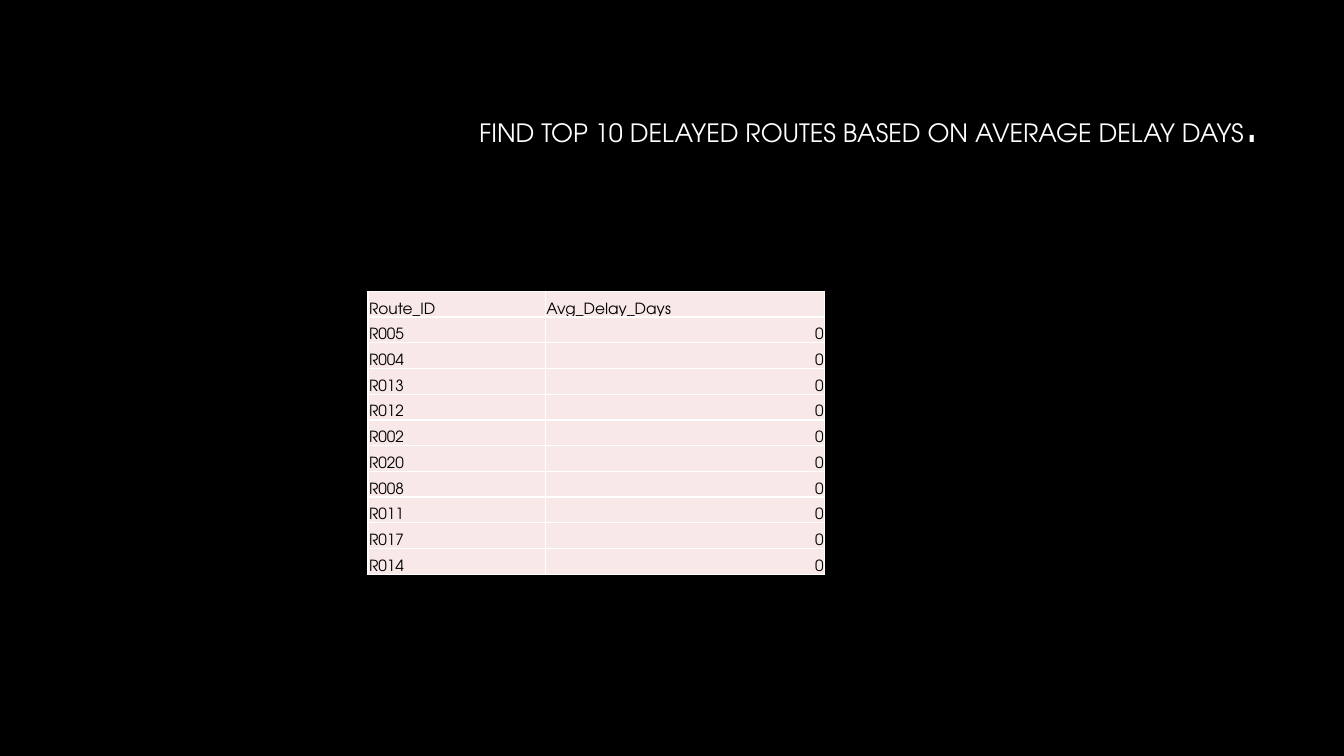
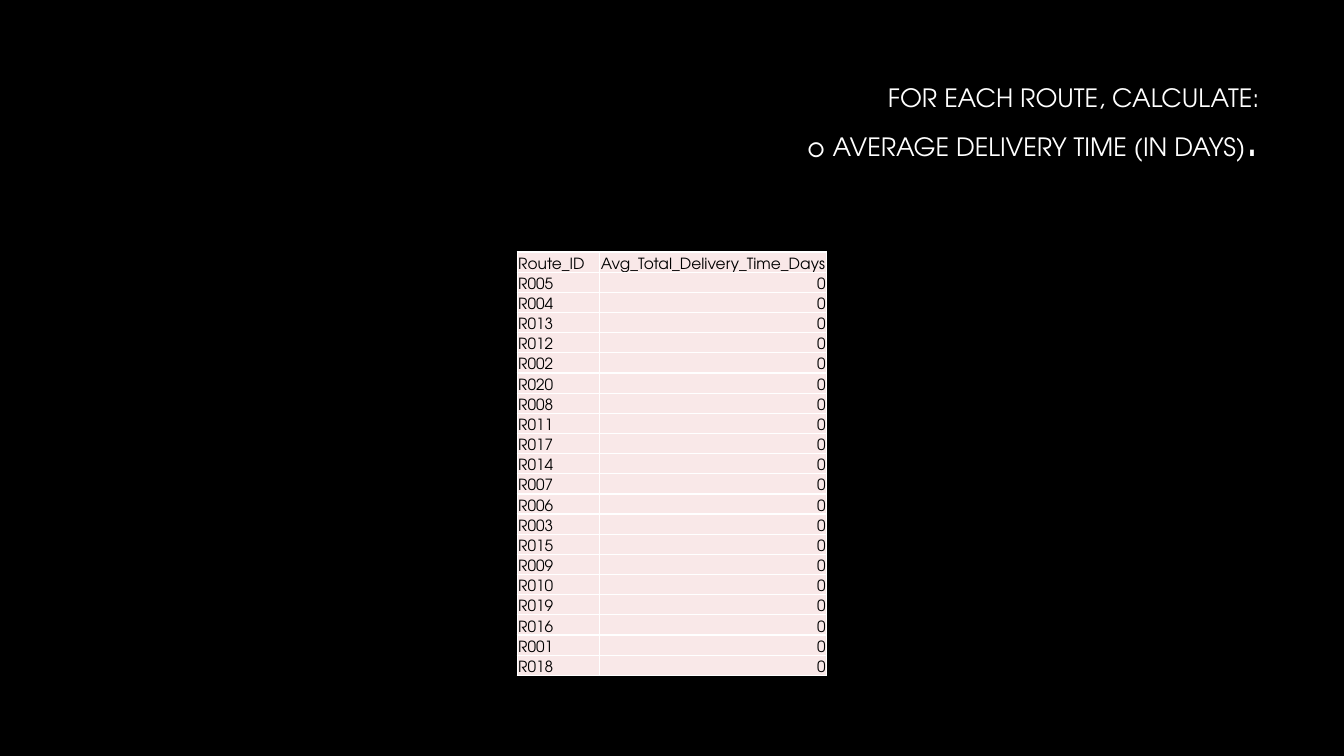
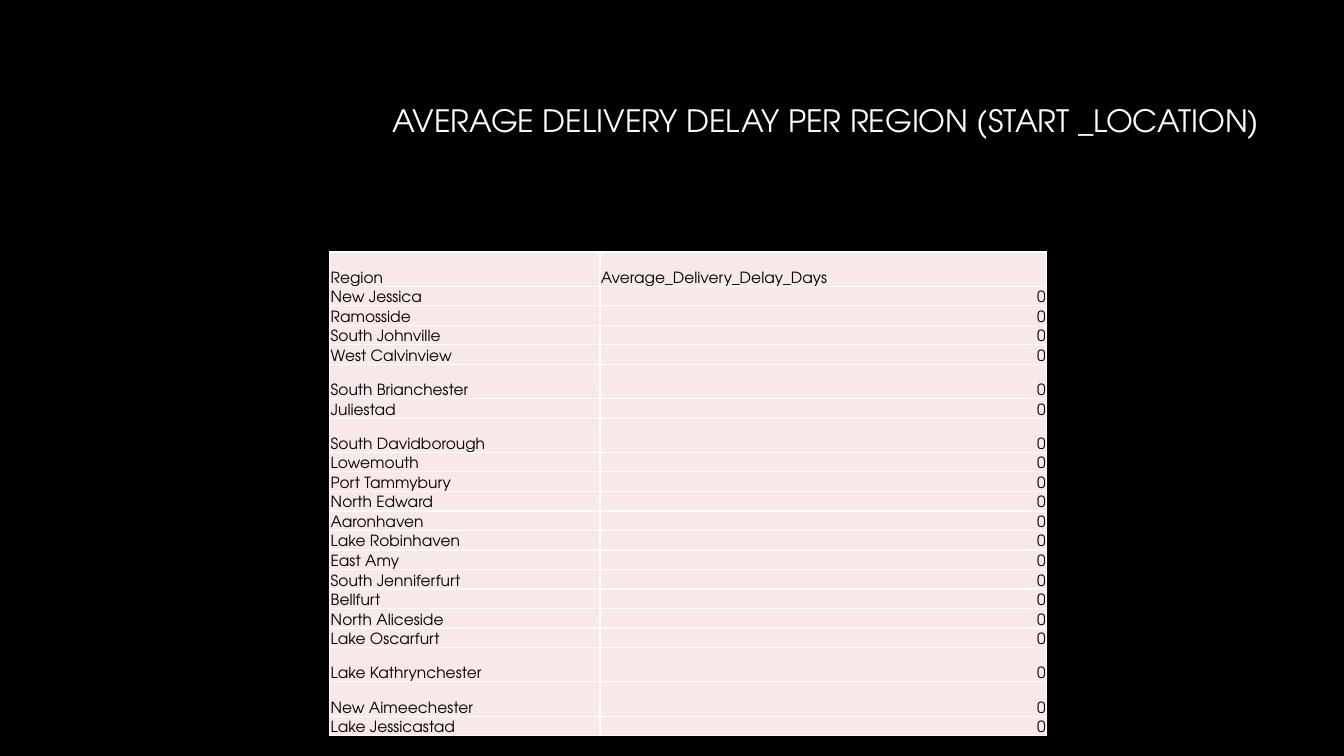
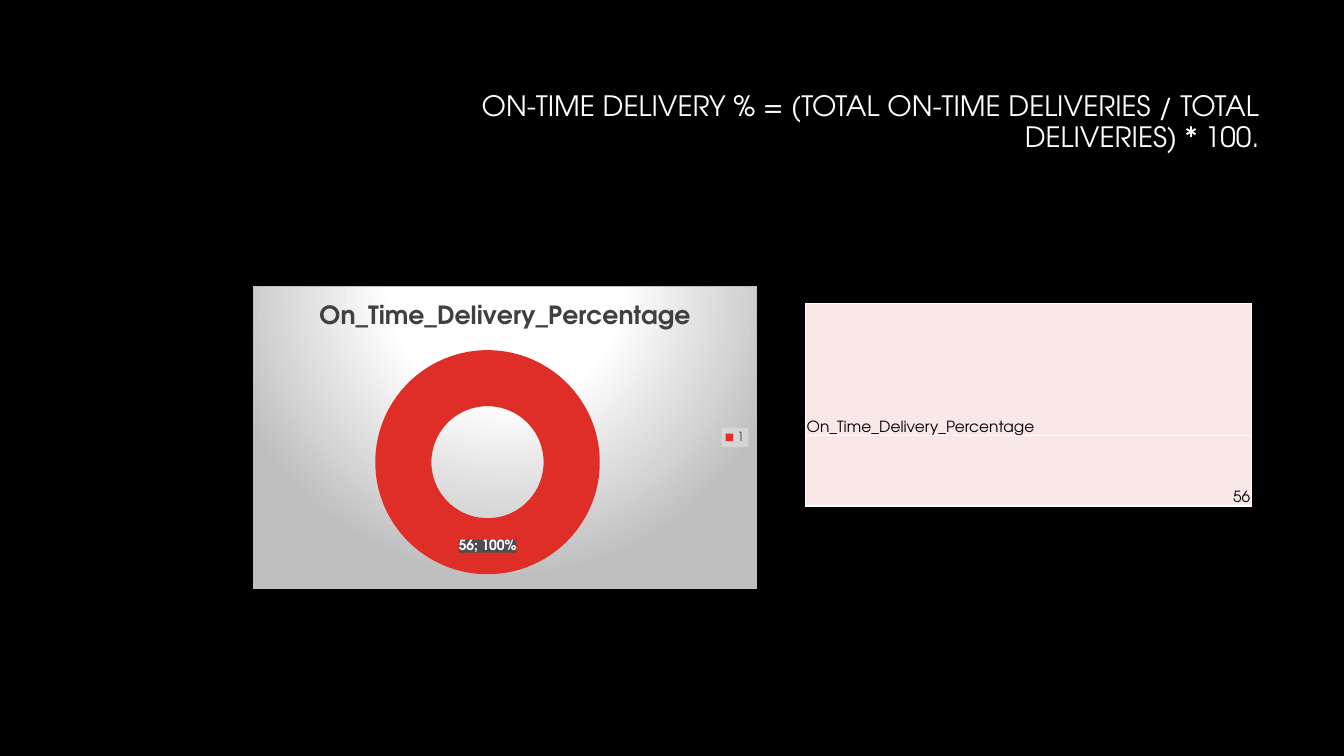
import pptx
import pptx.chart.data
import pptx.dml.color
import pptx.enum.chart
import pptx.enum.text
import pptx.oxml
import pptx.oxml.ns
import pptx.util

Inches = pptx.util.Inches
Pt = pptx.util.Pt
ALIGN = pptx.enum.text.PP_ALIGN
ANCHOR = pptx.enum.text.MSO_ANCHOR

FONT = "TeX Gyre Adventor"
BLACK = "000000"
WHITE = "FFFFFF"
PINK = "F9E8E8"
RED = "DF2E28"
GREY = "BFBFBF"
DARK_GREY = "404040"


def set_font(font, size, hex_colour, bold=False):
    values = {"name": FONT, "size": Pt(size), "bold": bold}
    for name, value in values.items():
        setattr(font, name, value)
    font.color.rgb = pptx.dml.color.RGBColor.from_string(hex_colour)


def drawing_xml(tag, content, attributes=""):
    namespaces = pptx.oxml.ns.nsdecls("a", "c")
    return pptx.oxml.parse_xml(f"<{tag} {namespaces} {attributes}>{content}</{tag}>")


top_routes = ["R005", "R004", "R013", "R012", "R002", "R020", "R008", "R011", "R017", "R014"]
other_routes = ["R007", "R006", "R003", "R015", "R009", "R010", "R019", "R016", "R001", "R018"]
regions = [
    "New Jessica", "Ramosside", "South Johnville", "West Calvinview", "South Brianchester",
    "Juliestad", "South Davidborough", "Lowemouth", "Port Tammybury", "North Edward",
    "Aaronhaven", "Lake Robinhaven", "East Amy", "South Jenniferfurt", "Bellfurt",
    "North Aliceside", "Lake Oscarfurt", "Lake Kathrynchester", "New Aimeechester",
    "Lake Jessicastad",
]
tall_regions = {"Region", "South Brianchester", "South Davidborough",
                "Lake Kathrynchester", "New Aimeechester"}
region_heights = [0.34 if name in tall_regions else 0.18 for name in ["Region"] + regions]

slide_contents = [
    {
        "title": [[("FIND TOP 10 DELAYED ROUTES BASED ON AVERAGE DELAY DAYS", 18), (".", 40)]],
        "title_bottom": 0.68,
        "rows": [["Route_ID", "Avg_Delay_Days"]] + [[route, "0"] for route in top_routes],
        "position": (3.65, 2.89),
        "widths": [1.76, 2.77],
        "heights": [2.81 / 11] * 11,
    },
    {
        "title": [
            [("FOR EACH ROUTE, CALCULATE:", 18)],
            [("○ AVERAGE DELIVERY TIME (IN DAYS)", 18), (".", 36)],
        ],
        "title_bottom": 0.62,
        "rows": [["Route_ID", "Avg_Total_Delivery_Time_Days"]]
        + [[route, "0"] for route in top_routes + other_routes],
        "position": (5.13, 2.5),
        "widths": [0.82, 2.25],
        "heights": [0.2] * 21,
    },
    {
        "title": [[("AVERAGE DELIVERY DELAY PER REGION (START _LOCATION)", 22)]],
        "title_bottom": 0.7,
        "rows": [["Region", "Average_Delivery_Delay_Days"]] + [[name, "0"] for name in regions],
        "position": (3.27, 2.5),
        "widths": [2.68, 4.43],
        "heights": region_heights,
    },
    {
        "title": [[("ON-TIME DELIVERY % = (TOTAL ON-TIME DELIVERIES / TOTAL DELIVERIES) * 100.", 20)]],
        "title_bottom": 0.7,
        "rows": [["On_Time_Delivery_Percentage"], ["56"]],
        "position": (7.99, 3.01),
        "widths": [4.42],
        "heights": [1.31, 0.7],
    },
]

presentation = pptx.Presentation()
presentation.slide_width = Inches(13.33)
presentation.slide_height = Inches(7.5)
blank_layout = presentation.slide_layouts[6]
background = presentation.slide_master.background.fill
background.solid()
background.fore_color.rgb = pptx.dml.color.RGBColor.from_string(BLACK)

for content in slide_contents:
    slide = presentation.slides.add_slide(blank_layout)

    title = slide.shapes.add_textbox(Inches(3.17), Inches(0.84), Inches(9.42), Inches(1.41))
    text_frame = title.text_frame
    text_frame.word_wrap = True
    text_frame.vertical_anchor = ANCHOR.MIDDLE
    text_frame.margin_bottom = Inches(content["title_bottom"])
    for index, runs in enumerate(content["title"]):
        paragraph = text_frame.add_paragraph() if index else text_frame.paragraphs[0]
        paragraph.alignment = ALIGN.RIGHT
        paragraph.line_spacing = 0.9
        for text, size in runs:
            run = paragraph.add_run()
            run.text = text
            set_font(run.font, size, WHITE)

    rows, widths, heights = content["rows"], content["widths"], content["heights"]
    left, top = content["position"]
    table = slide.shapes.add_table(
        len(rows), len(widths), Inches(left), Inches(top),
        Inches(sum(widths)), Inches(sum(heights)),
    ).table
    table.first_row = False
    table.horz_banding = False
    for column, width in zip(table.columns, widths):
        column.width = Inches(width)
    for row_index, (row, height) in enumerate(zip(table.rows, heights)):
        row.height = Inches(height)
        for cell, text in zip(row.cells, rows[row_index]):
            cell_format = {
                "vertical_anchor": ANCHOR.BOTTOM,
                "margin_left": Inches(0.01),
                "margin_right": Inches(0.01),
                "margin_top": Inches(0.01),
                "margin_bottom": 0,
            }
            for name, value in cell_format.items():
                setattr(cell, name, value)
            paragraph = cell.text_frame.paragraphs[0]
            paragraph.alignment = ALIGN.RIGHT if text.isdigit() else ALIGN.LEFT
            run = paragraph.add_run()
            run.text = text
            set_font(run.font, 11, BLACK)
            cell.fill.solid()
            cell.fill.fore_color.rgb = pptx.dml.color.RGBColor.from_string(PINK)
            cell_properties = cell.fill._xPr
            for position, side in enumerate(["a:lnL", "a:lnR", "a:lnT", "a:lnB"]):
                border = drawing_xml(
                    side, f'<a:solidFill><a:srgbClr val="{WHITE}"/></a:solidFill>', 'w="12700"')
                cell_properties.insert(position, border)

chart_data = pptx.chart.data.CategoryChartData()
chart_data.categories = ["1"]
chart_data.add_series("On_Time_Delivery_Percentage", [56])
chart = slide.shapes.add_chart(
    pptx.enum.chart.XL_CHART_TYPE.DOUGHNUT,
    Inches(2.51), Inches(2.84), Inches(5), Inches(3), chart_data,
).chart
set_font(chart.font, 10, WHITE)
chart.has_title = True
chart_title = chart.chart_title.text_frame
chart_title.text = "On_Time_Delivery_Percentage"
set_font(chart_title.paragraphs[0].runs[0].font, 18, DARK_GREY, True)

chart.has_legend = True
legend = chart.legend
legend.position = pptx.enum.chart.XL_LEGEND_POSITION.RIGHT
legend.include_in_layout = False
set_font(legend.font, 9, DARK_GREY)

plot = chart.plots[0]
plot.vary_by_categories = True
plot.has_data_labels = True
labels = plot.data_labels
labels.show_value = True
labels.show_percentage = True
set_font(labels.font, 10, WHITE, True)
ring = plot.series[0].points[0].format
ring.fill.solid()
ring.fill.fore_color.rgb = pptx.dml.color.RGBColor.from_string(RED)
ring.line.fill.background()

chart_background = drawing_xml("c:spPr", f"""
<a:gradFill><a:gsLst>
<a:gs pos="0"><a:srgbClr val="{WHITE}"/></a:gs>
<a:gs pos="39000"><a:srgbClr val="{WHITE}"/></a:gs>
<a:gs pos="100000"><a:srgbClr val="{GREY}"/></a:gs>
</a:gsLst><a:path path="circle">
<a:fillToRect l="50000" t="-80000" r="50000" b="180000"/></a:path></a:gradFill>
<a:ln w="9525"><a:solidFill><a:srgbClr val="{GREY}"/></a:solidFill></a:ln>""")
chart.element.xpath("c:chart")[0].addnext(chart_background)
for owner, fill_colour, opacity in [("c:legend", "F2F2F2", 39000), ("c:dLbls", "4D4D4D", 100000)]:
    box_fill = drawing_xml("c:spPr", f"""
<a:solidFill><a:srgbClr val="{fill_colour}"><a:alpha val="{opacity}"/></a:srgbClr></a:solidFill>""")
    chart.element.xpath(f".//{owner}/c:txPr")[0].addprevious(box_fill)

presentation.save("out.pptx")
